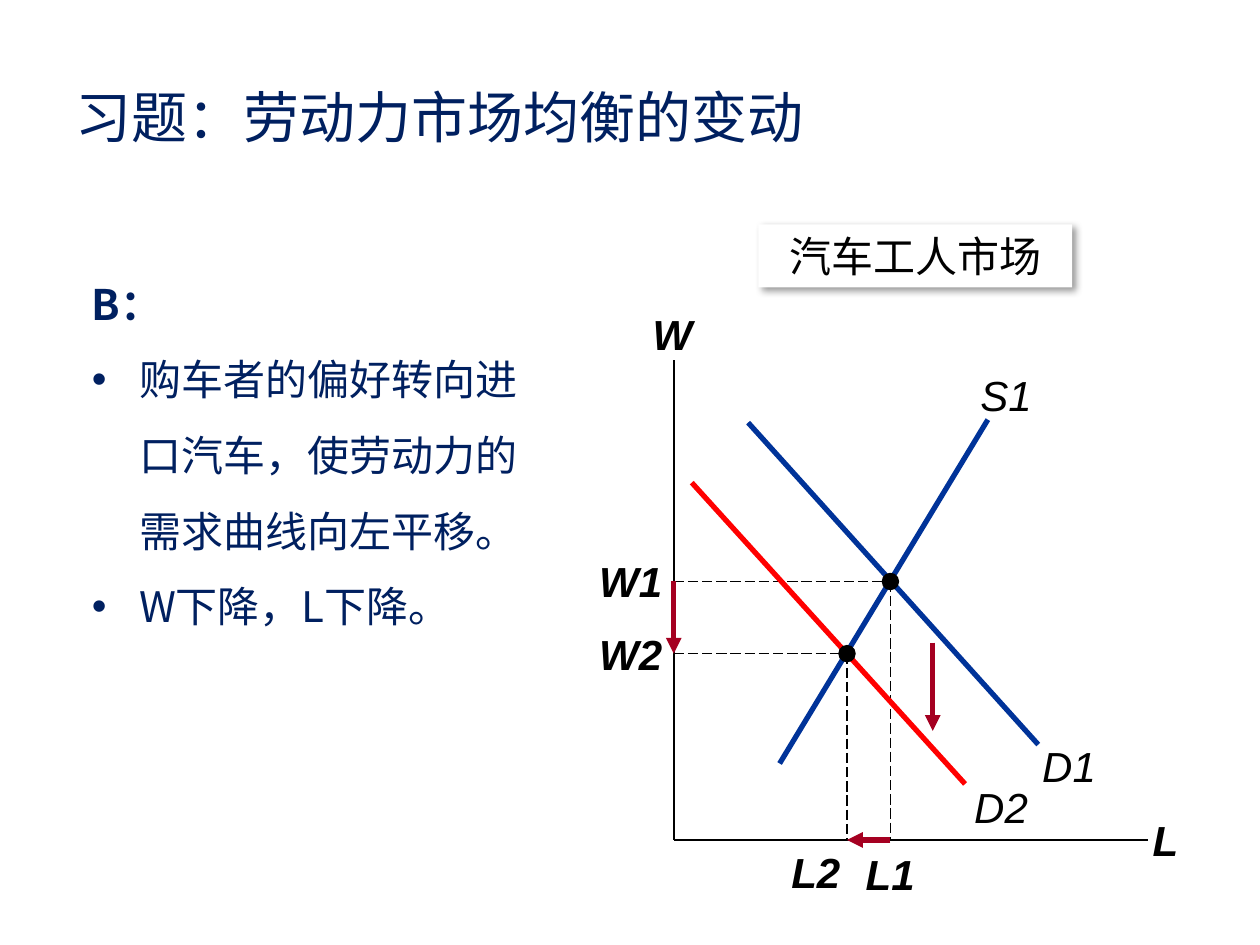
from lxml.etree import SubElement
from pptx import Presentation
from pptx.dml.color import RGBColor
from pptx.enum.dml import MSO_LINE
from pptx.enum.shapes import MSO_CONNECTOR, MSO_SHAPE
from pptx.enum.text import MSO_ANCHOR, PP_ALIGN
from pptx.oxml.ns import qn
from pptx.util import Pt

CJK = "Noto Sans CJK SC"
NAVY, BLUE, RED, CRIMSON, BLACK = "002060", "003399", "FF0000", "A50021", "000000"
AXIS_X, AXIS_Y = 385, 480
EQ1, EQ2 = (508.8, 332.3), (484, 373.5)


def color(value):
    return RGBColor.from_string(value)


def set_attrs(obj, values):
    for name, value in values.items():
        setattr(obj, name, value)


def add_run(p, text, size=24, font="Arial", fill=BLACK, **style):
    r = p.add_run()
    r.text = text
    set_attrs(r.font, {"size": Pt(size), "name": font, **style})
    r.font.color.rgb = color(fill)
    SubElement(r._r.get_or_add_rPr(), qn("a:ea"), typeface=font)


def add_text(s, box, wrap=True, anchor=MSO_ANCHOR.TOP):
    sp = s.shapes.add_textbox(*map(Pt, box))
    set_attrs(sp.text_frame, {"word_wrap": wrap, "vertical_anchor": anchor})
    return sp.text_frame


def add_label(s, text, box, bold=False, tight=False):
    tf = add_text(s, box, wrap=False)
    if tight:
        set_attrs(tf, dict.fromkeys(
            ("margin_left", "margin_top", "margin_right", "margin_bottom"), 0))
    p = tf.paragraphs[0]
    p.alignment = PP_ALIGN.CENTER
    add_run(p, text, bold=bold, italic=True)


def add_line(s, start, end, fill=BLACK, width=1, dash=None, arrow=False):
    sp = s.shapes.add_connector(MSO_CONNECTOR.STRAIGHT, *map(Pt, start + end))
    set_attrs(sp.line, {"width": Pt(width), "dash_style": dash})
    sp.line.color.rgb = color(fill)
    if arrow:
        SubElement(sp.line._get_or_add_ln(), qn("a:tailEnd"), type="triangle")
    SubElement(sp._element.spPr, qn("a:effectLst"))


def add_filled(s, kind, box, fill):
    sp = s.shapes.add_shape(kind, *map(Pt, box))
    sp.shadow.inherit = False
    sp.fill.solid()
    sp.fill.fore_color.rgb = color(fill)
    sp.line.fill.background()
    return sp


def add_dot(s, center, radius=5):
    x, y = center
    add_filled(s, MSO_SHAPE.OVAL, (x - radius, y - radius, 2 * radius, 2 * radius), BLACK)


def add_caption(s, text, box):
    sp = add_filled(s, MSO_SHAPE.RECTANGLE, box, "FFFFFF")
    effects = sp._element.spPr.find(qn("a:effectLst"))
    shadow = SubElement(effects, qn("a:outerShdw"), blurRad=str(Pt(4)), dist=str(Pt(3)),
                        dir="2700000", algn="tl", rotWithShape="0")
    clr = SubElement(shadow, qn("a:srgbClr"), val=BLACK)
    SubElement(clr, qn("a:alpha"), val="40000")
    tf = sp.text_frame
    set_attrs(tf, {"word_wrap": True, "vertical_anchor": MSO_ANCHOR.TOP})
    p = tf.paragraphs[0]
    p.alignment = PP_ALIGN.CENTER
    add_run(p, text, font=CJK)


def add_title(s, text):
    tf = add_text(s, (36, 21.6, 648, 90), anchor=MSO_ANCHOR.MIDDLE)
    add_run(tf.paragraphs[0], text, size=32, font=CJK, fill=NAVY)


def add_answer(s, heading, bullets):
    tf = add_text(s, (45.4, 141.1, 260, 260))
    for i, text in enumerate([heading] + bullets):
        p = tf.add_paragraph() if i else tf.paragraphs[0]
        p.line_spacing = 1.5
        if i:
            pPr = p._p.get_or_add_pPr()
            pPr.set("marL", str(Pt(27)))
            pPr.set("indent", str(Pt(-27)))
            SubElement(pPr, qn("a:buFont"), typeface="Arial")
            SubElement(pPr, qn("a:buChar"), char="•")
        add_run(p, text, font=CJK, fill=NAVY, bold=i == 0)


def add_market(s):
    add_line(s, (AXIS_X, 206), (AXIS_X, AXIS_Y))
    add_line(s, (AXIS_X, AXIS_Y), (656, AXIS_Y))
    for x, y in (EQ1, EQ2):
        for start, end in (((AXIS_X, y), (x, y)), ((x, y), (x, AXIS_Y))):
            add_line(s, start, end, width=0.75, dash=MSO_LINE.LONG_DASH)

    for start, end, fill in (
        ((427.5, 241.5), (593.3, 425.5), BLUE),
        ((445.5, 436.3), (564.5, 239.8), BLUE),
        ((395.3, 275.8), (551.5, 448), RED),
    ):
        add_line(s, start, end, fill, 3)

    for start, end in (
        ((533, 367.2), (533, 417.6)),
        ((EQ1[0], AXIS_Y), (EQ2[0], AXIS_Y)),
        ((AXIS_X, EQ1[1]), (AXIS_X, EQ2[1])),
    ):
        add_line(s, start, end, CRIMSON, 3, arrow=True)

    for center in (EQ1, EQ2):
        add_dot(s, center)

    for text, x, y, w, bold in (
        ("W", 365.8, 172.8, 33, True),
        ("L", 648, 462.2, 36, True),
        ("D1", 588.2, 419.8, 45.4, False),
        ("S1", 552.2, 207.4, 45.4, False),
        ("D2", 546.5, 442.8, 51, False),
    ):
        add_label(s, text, (x, y, w, 36), bold)

    for text, x, y in (("W1", 341.3, 317.5), ("W2", 341.3, 359.3),
                       ("L1", 489.6, 484.6), ("L2", 447.1, 483.8)):
        add_label(s, text, (x, y, 38.2, 28.8), bold=True, tight=True)


def main():
    prs = Presentation()
    set_attrs(prs, {"slide_width": Pt(720), "slide_height": Pt(540)})
    s = prs.slides.add_slide(prs.slide_layouts[6])
    add_title(s, "习题：劳动力市场均衡的变动")
    add_answer(s, "B：", [
        "购车者的偏好转向进口汽车，使劳动力的需求曲线向左平移。",
        "W下降，L下降。",
    ])
    add_market(s)
    add_caption(s, "汽车工人市场", (433.4, 128.2, 179.3, 36))
    prs.save("out.pptx")


if __name__ == "__main__":
    main()
